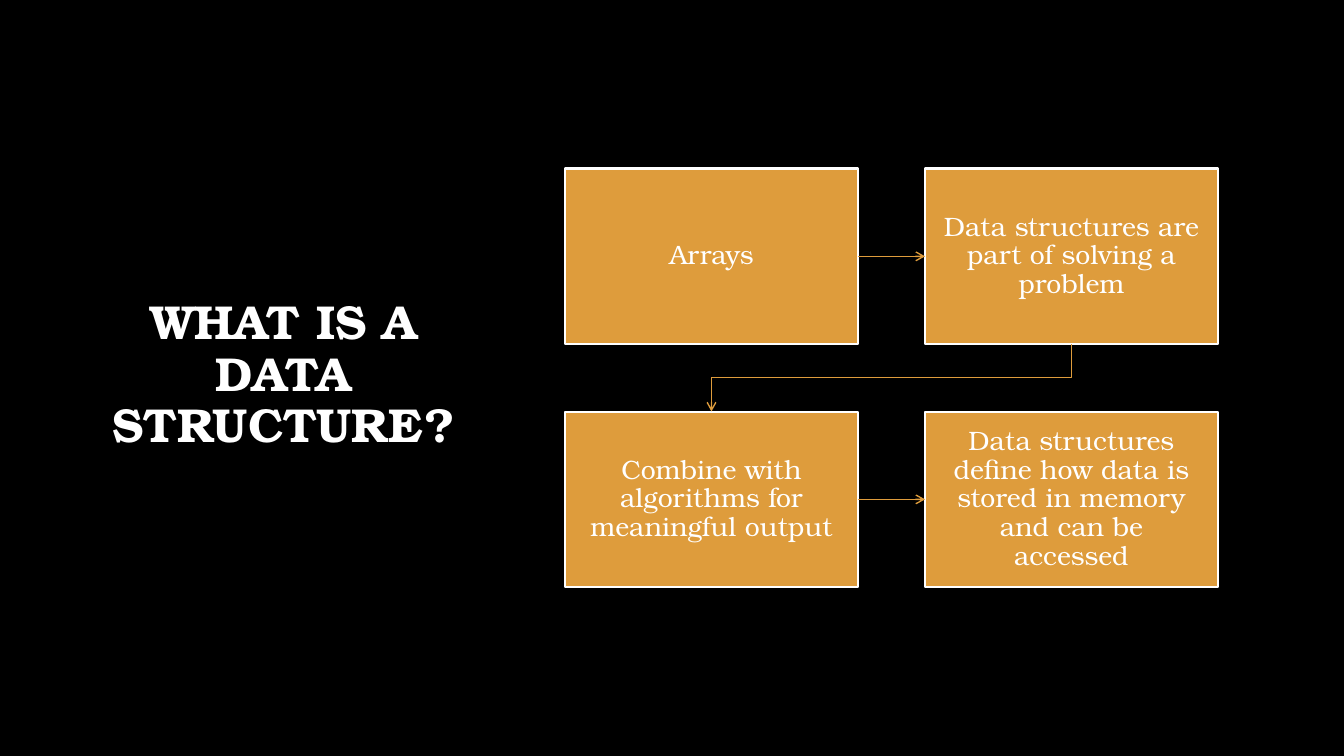
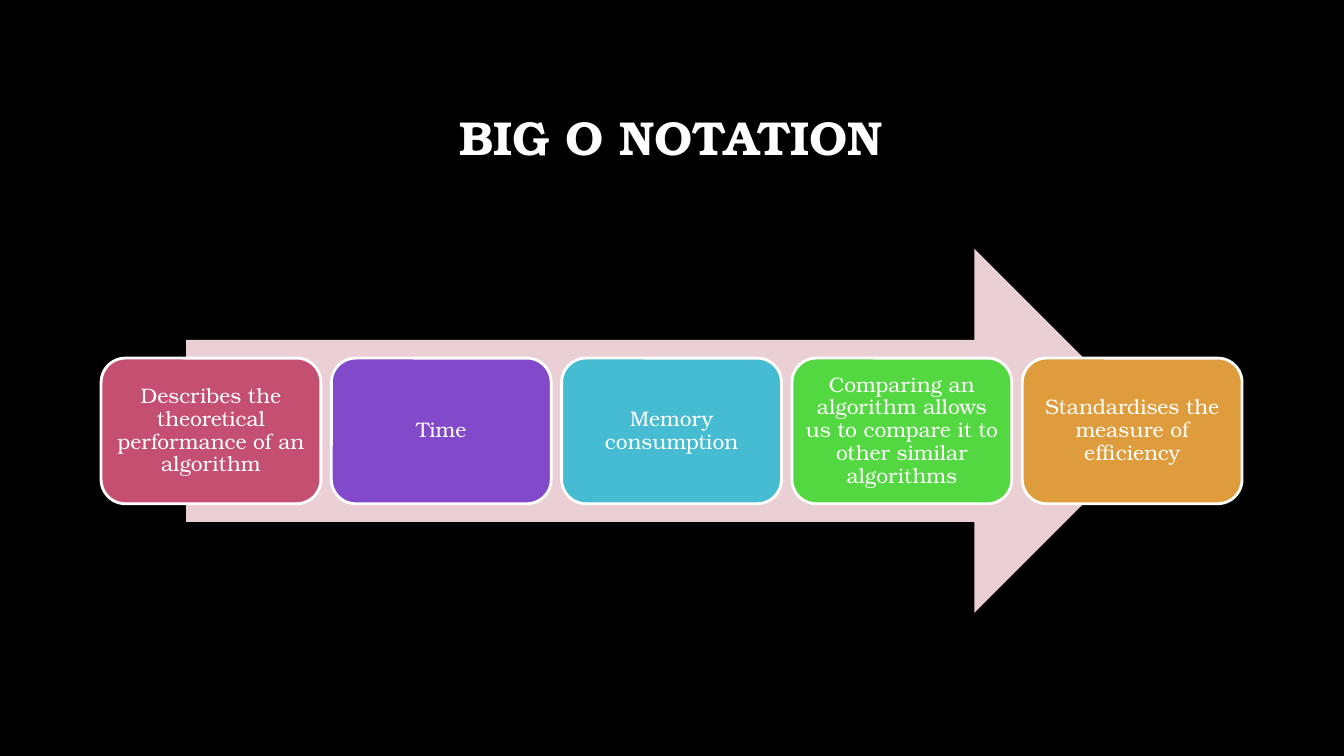
from dataclasses import dataclass

from pptx import Presentation
from pptx.dml.color import RGBColor
from pptx.enum import shapes, text
from pptx.oxml import ns, xmlchemy as xml
from pptx.util import Pt

TOP, LEFT, BOTTOM, RIGHT = range(4)


@dataclass(frozen=True)
class Theme:
    font: str = "TeX Gyre Bonum"
    back: str = "000000"
    ink: str = "FFFFFF"
    pale: str = "EAD0D5"
    rose: str = "C54F71"
    plum: str = "824ACB"
    teal: str = "45BCD2"
    lime: str = "54D841"
    gold: str = "DE9C3C"
    head: int = 34
    flow: int = 19
    step: int = 15


def rgb(code):
    return RGBColor.from_string(code)


class Deck:
    def __init__(self, theme):
        self.theme = theme
        self.prs = Presentation()
        self.prs.slide_width, self.prs.slide_height = Pt(960), Pt(540)
        fill = self.prs.slide_master.background.fill
        fill.solid()
        fill.fore_color.rgb = rgb(theme.back)
        self.slide = None

    def page(self, title, left, top, wide, high):
        """Start a slide and place its title."""
        self.slide = self.prs.slides.add_slide(self.prs.slide_layouts[5])
        head = self.slide.shapes.title
        head.left, head.top = Pt(left), Pt(top)
        head.width, head.height = Pt(wide), Pt(high)
        self.label(head, title, self.theme.head, bold=True)

    def label(self, shape, words, size, bold=False):
        frame = shape.text_frame
        frame.text = words
        frame.word_wrap = True
        frame.auto_size = text.MSO_AUTO_SIZE.NONE
        frame.vertical_anchor = text.MSO_ANCHOR.MIDDLE
        para = frame.paragraphs[0]
        para.alignment = text.PP_ALIGN.CENTER
        para.line_spacing = 0.9
        font = para.font
        font.name, font.size, font.bold = self.theme.font, Pt(size), bold
        font.color.rgb = rgb(self.theme.ink)

    def shape(self, kind, left, top, wide, high, fill, edge=0):
        """Add a filled shape; an edge of 0 means no outline."""
        item = self.slide.shapes.add_shape(
            kind, Pt(left), Pt(top), Pt(wide), Pt(high))
        item.shadow.inherit = False
        item.fill.solid()
        item.fill.fore_color.rgb = rgb(fill)
        if edge:
            item.line.color.rgb = rgb(self.theme.ink)
            item.line.width = Pt(edge)
        else:
            item.line.fill.background()
        return item

    def card(self, kind, place, fill, edge, words, size, pad):
        item = self.shape(kind, *place, fill, edge)
        self.label(item, words, size)
        frame = item.text_frame
        frame.margin_left = frame.margin_right = Pt(pad)
        frame.margin_top = frame.margin_bottom = Pt(pad)
        return item

    def link(self, kind, start, out, end, into):
        """Join a side of one card to a side of another with an arrow."""
        line = self.slide.shapes.add_connector(kind, 0, 0, 0, 0)
        line.begin_connect(start, out)
        line.end_connect(end, into)
        line.line.color.rgb = rgb(self.theme.gold)
        line.line.width = Pt(1)
        props = line.element.spPr
        tip = xml.OxmlElement("a:tailEnd")
        tip.set("type", "arrow")
        props.find(ns.qn("a:ln")).append(tip)
        props.append(xml.OxmlElement("a:effectLst"))
        return line

    def wrap(self, start, end):
        """Lead from a card's foot down and back to a card on the next row."""
        line = self.link(shapes.MSO_CONNECTOR.ELBOW, start, BOTTOM, end, TOP)
        # A quarter turn makes the elbow leave and arrive vertically.
        wide, high = line.width, line.height
        shift = (wide - high) // 2
        line.left, line.top = line.left + shift, line.top - shift
        line.width, line.height = high, wide
        frame = line.element.spPr.find(ns.qn("a:xfrm"))
        frame.attrib.pop("flipH", None)
        frame.set("rot", "5400000")


def structure(deck):
    deck.page("WHAT IS A DATA STRUCTURE?", 59, 48, 287, 441)
    words = [
        "Arrays",
        "Data structures are part of solving a problem",
        "Combine with algorithms for meaningful output",
        "Data structures define how data is stored in memory "
        "and can be accessed",
    ]
    cards = []
    for i, line in enumerate(words):
        row, col = divmod(i, 2)
        place = 403.7 + col * 257.1, 120.4 + row * 173.6, 209, 125.4
        cards.append(deck.card(
            shapes.MSO_SHAPE.RECTANGLE, place, deck.theme.gold, 1.5,
            line, deck.theme.flow, 10.2))
    for a, b in (cards[:2], cards[2:]):
        deck.link(shapes.MSO_CONNECTOR.STRAIGHT, a, RIGHT, b, LEFT)
    deck.wrap(cards[1], cards[2])


def notation(deck):
    theme = deck.theme
    deck.page("BIG O NOTATION", 72, 48, 815, 104.5)
    deck.shape(shapes.MSO_SHAPE.RIGHT_ARROW, 133, 177.8, 693, 260, theme.pale)
    steps = [
        (theme.rose, "Describes the theoretical performance of an algorithm"),
        (theme.plum, "Time"),
        (theme.teal, "Memory consumption"),
        (theme.lime, "Comparing an algorithm allows us to compare it "
                     "to other similar algorithms"),
        (theme.gold, "Standardises the measure of efficiency"),
    ]
    for i, (fill, line) in enumerate(steps):
        deck.card(
            shapes.MSO_SHAPE.ROUNDED_RECTANGLE,
            (72.2 + i * 164.5, 255.8, 157, 104), fill, 2,
            line, theme.step, 4.6)


def main():
    deck = Deck(Theme())
    structure(deck)
    notation(deck)
    deck.prs.save("out.pptx")


if __name__ == "__main__":
    main()
